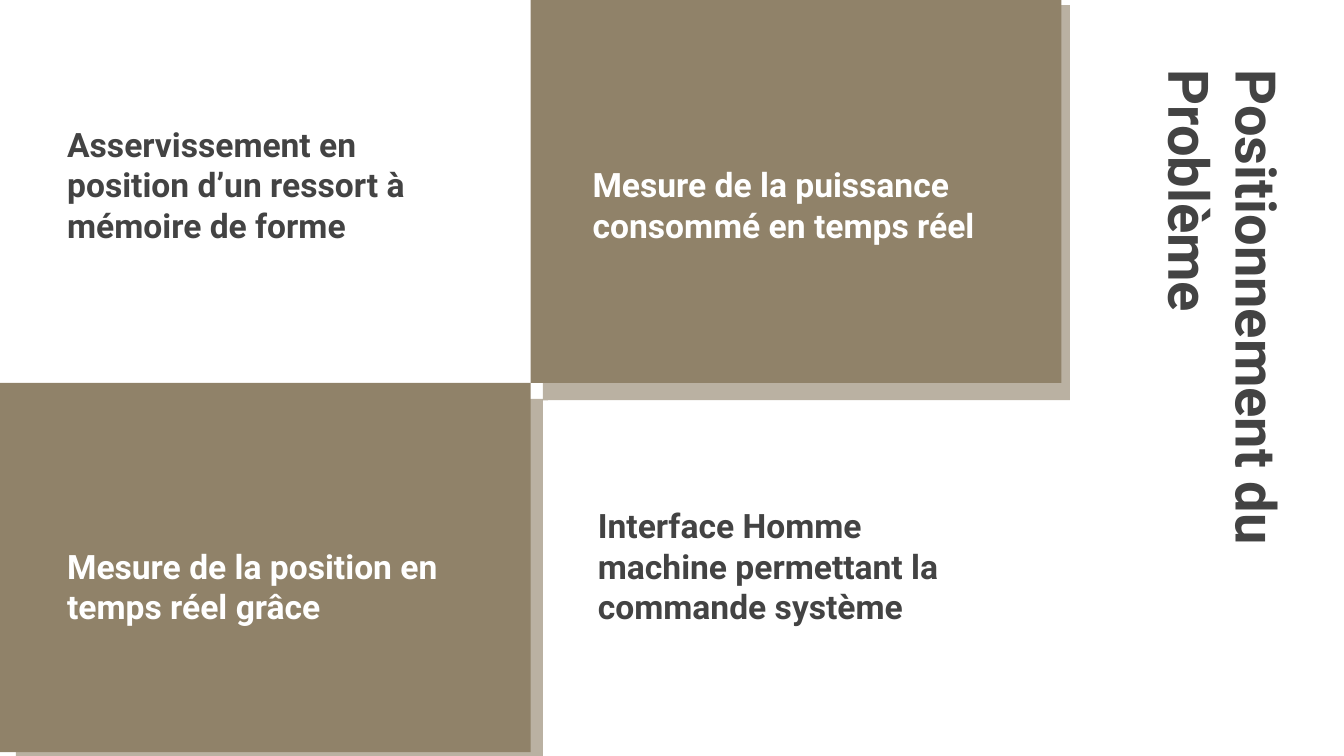
from dataclasses import dataclass

from lxml.etree import SubElement
from pptx import Presentation
from pptx.dml.color import RGBColor
from pptx.enum.shapes import MSO_SHAPE
from pptx.enum.text import MSO_ANCHOR, PP_ALIGN
from pptx.oxml.ns import qn
from pptx.slide import Slide
from pptx.util import Cm, Pt

COLORS = {"tan": "908269", "white": "FFFFFF", "dark": "434343"}
FONT = "Roboto"
INSET = Cm(0.25)


@dataclass
class Block:
    left: float
    top: float
    width: float
    height: float
    color: str
    alpha: int = 100


@dataclass
class Label:
    text: str
    left: float
    top: float
    color: str
    width: float = 7.98
    height: float = 2.62
    size: int = 18
    anchor: MSO_ANCHOR = MSO_ANCHOR.BOTTOM
    turn: int = 0


SHADOWS = [
    Block(0.3, 7.54, 9.96, 6.86, "tan", 62),
    Block(10.26, 0.1, 9.96, 7.47, "tan", 62),
]
TILES = [
    Block(0, 0, 10.03, 7.32, "white"),
    Block(10.03, -0.08, 10.03, 7.32, "tan"),
    Block(0, 7.24, 10.03, 6.98, "tan"),
    Block(10.36, 7.57, 10.03, 6.98, "white"),
]
TITLE = Label("Positionnement du Problème", 17.96, 5.05, "dark",
              10.36, 2.39, 30, MSO_ANCHOR.MIDDLE, 90)
LABELS = [
    Label("Asservissement en position d’un ressort à mémoire de forme",
          1.02, 2.26, "dark"),
    Label("Mesure de la puissance consommé en temps réel",
          10.95, 2.26, "white"),
    Label("Mesure de la position en temps réel grâce",
          1.02, 9.47, "white"),
    Label("Interface Homme machine permettant la commande système",
          11.05, 9.47, "dark"),
]


def draw_block(slide: Slide, block: Block) -> None:
    shape = slide.shapes.add_shape(
        MSO_SHAPE.RECTANGLE, Cm(block.left), Cm(block.top),
        Cm(block.width), Cm(block.height))
    shape.shadow.inherit = False
    shape.line.fill.background()
    shape.fill.solid()
    shape.fill.fore_color.rgb = RGBColor.from_string(COLORS[block.color])
    if block.alpha < 100:
        color = shape._element.spPr.find(qn("a:solidFill"))[0]
        SubElement(color, qn("a:alpha"), val=str(block.alpha * 1000))


def draw_label(slide: Slide, label: Label) -> None:
    box = slide.shapes.add_textbox(
        Cm(label.left), Cm(label.top), Cm(label.width), Cm(label.height))
    box.rotation = label.turn
    frame = box.text_frame
    frame.word_wrap = True
    frame.vertical_anchor = label.anchor
    frame.margin_left = frame.margin_right = INSET
    frame.margin_top = frame.margin_bottom = INSET
    para = frame.paragraphs[0]
    para.alignment = PP_ALIGN.LEFT
    run = para.add_run()
    run.text = label.text
    run.font.name = FONT
    run.font.size = Pt(label.size)
    run.font.bold = True
    run.font.color.rgb = RGBColor.from_string(COLORS[label.color])


def main() -> None:
    deck = Presentation()
    deck.slide_width, deck.slide_height = Cm(25.4), Cm(14.29)
    slide = deck.slides.add_slide(deck.slide_layouts[6])
    for block in SHADOWS + TILES:
        draw_block(slide, block)
    for label in [TITLE] + LABELS:
        draw_label(slide, label)
    deck.save("out.pptx")


if __name__ == "__main__":
    main()
